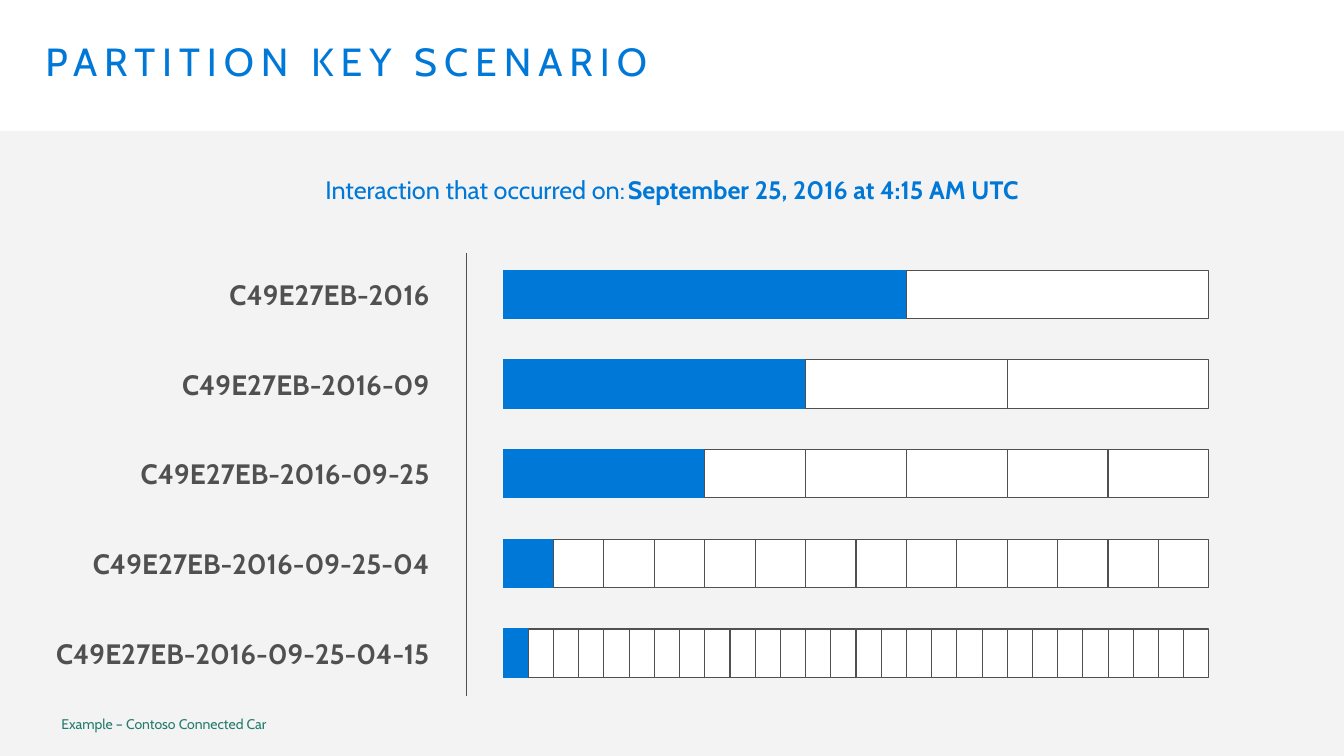
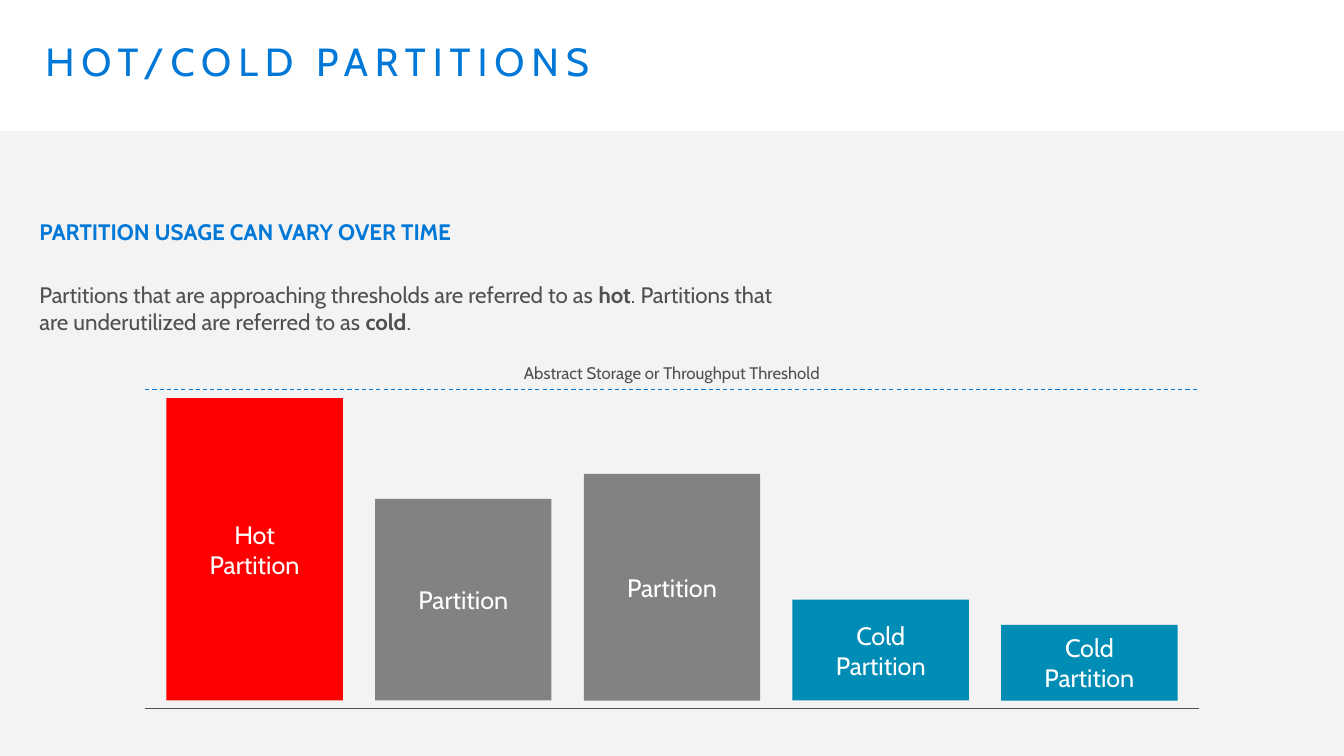
from lxml.etree import SubElement
from pptx import Presentation
from pptx.dml.color import RGBColor
from pptx.enum.dml import MSO_LINE
from pptx.enum.shapes import MSO_CONNECTOR, MSO_SHAPE
from pptx.enum.text import MSO_ANCHOR, MSO_AUTO_SIZE, PP_ALIGN
from pptx.oxml.ns import qn
from pptx.util import Inches, Pt

BLUE = RGBColor(0x00, 0x78, 0xD7)
GRAY = RGBColor(0x50, 0x50, 0x50)
MID = RGBColor(0x82, 0x82, 0x82)
PALE = RGBColor(0xF2, 0xF2, 0xF2)
WHITE = RGBColor(0xFF, 0xFF, 0xFF)
RED = RGBColor(0xFF, 0x00, 0x00)
TEAL = RGBColor(0x00, 0x8D, 0xB5)
GREEN = RGBColor(0x22, 0x7B, 0x6D)


def apply(item, values):
    for name, value in values.items():
        setattr(item, name, value)


class Deck:
    FONT = "Cabin"
    WIDTH = 13.33

    def __init__(self):
        self.prs = Presentation()
        self.prs.slide_width = Inches(self.WIDTH)
        self.prs.slide_height = Inches(7.5)
        self.layout = self.prs.slide_layouts[1]
        self.slide = None

    def start(self, title):
        """Open a slide with its title; the first one gives the layout its band."""
        first = self.slide is None
        self.slide = self.prs.slides.add_slide(self.layout)
        if first:
            self.band()
        shape = self.slide.shapes.title
        self.place(shape, 0.29, 0.32, 12.75, 0.98)
        self.frame(shape, MSO_ANCHOR.TOP, 0.16, 0.1)
        para = shape.text_frame.paragraphs[0]
        apply(para, {"alignment": PP_ALIGN.LEFT, "line_spacing": 0.9})
        run = self.run(para, title, 28, BLUE)
        run.font._element.set("spc", "500")

    def band(self):
        band = self.rect(0, 1.3, self.WIDTH, 6.2, PALE)
        color = band.fill._xPr.find(".//" + qn("a:srgbClr"))
        SubElement(color, qn("a:alpha"), val="89000")
        self.layout.shapes.element.insert(2, band.element)

    def place(self, shape, left, top, width, height):
        apply(shape, {"left": Inches(left), "top": Inches(top),
                      "width": Inches(width), "height": Inches(height)})

    def frame(self, shape, anchor, side, edge):
        apply(shape.text_frame, {
            "word_wrap": True, "auto_size": MSO_AUTO_SIZE.NONE,
            "vertical_anchor": anchor,
            "margin_left": Inches(side), "margin_right": Inches(side),
            "margin_top": Inches(edge), "margin_bottom": Inches(edge)})

    def run(self, para, text, size, color, bold=False):
        run = para.add_run()
        run.text = text
        apply(run.font, {"name": self.FONT, "size": Pt(size), "bold": bold})
        run.font.color.rgb = color
        return run

    def body(self, box, size, paras, align=PP_ALIGN.LEFT, gap=0, tab=None):
        """Fill the body; each paragraph is a list of (text, color, bold)."""
        shape = self.slide.placeholders[1]
        self.place(shape, *box)
        self.frame(shape, MSO_ANCHOR.TOP, 0.1, 0.05)
        text = shape.text_frame
        for index, runs in enumerate(paras):
            para = text.add_paragraph() if index else text.paragraphs[0]
            props = para._p.get_or_add_pPr()
            apply_xml = {"marL": "0", "indent": "0"}
            for name, value in apply_xml.items():
                props.set(name, value)
            SubElement(props, qn("a:buNone"))
            if tab:
                stops = SubElement(props, qn("a:tabLst"))
                SubElement(stops, qn("a:tab"), pos=str(Inches(tab)), algn="l")
            apply(para, {"alignment": align, "line_spacing": 1.0,
                         "space_before": Pt(gap if index else 0)})
            for words, color, bold in runs:
                self.run(para, words, size, color, bold)

    def rect(self, left, top, width, height, fill, edge=None):
        shape = self.slide.shapes.add_shape(
            MSO_SHAPE.RECTANGLE, Inches(left), Inches(top),
            Inches(width), Inches(height))
        shape.shadow.inherit = False
        shape.fill.solid()
        shape.fill.fore_color.rgb = fill
        if edge is None:
            shape.line.fill.background()
        else:
            shape.line.color.rgb = edge
            shape.line.width = Pt(0.75)
        return shape

    def block(self, left, top, width, height, fill, text):
        shape = self.rect(left, top, width, height, fill)
        self.frame(shape, MSO_ANCHOR.MIDDLE, 0.25, 0.1)
        para = shape.text_frame.paragraphs[0]
        para.alignment = PP_ALIGN.CENTER
        self.run(para, text, 18, WHITE)

    def label(self, box, text, size, color, align=PP_ALIGN.LEFT, bold=False):
        shape = self.slide.shapes.add_textbox(*map(Inches, box))
        self.frame(shape, MSO_ANCHOR.MIDDLE, 0, 0)
        para = shape.text_frame.paragraphs[0]
        para.alignment = align
        self.run(para, text, size, color, bold)

    def rule(self, x1, y1, x2, y2, color, dash=None):
        line = self.slide.shapes.add_connector(
            MSO_CONNECTOR.STRAIGHT, *map(Inches, (x1, y1, x2, y2)))
        line.line.color.rgb = color
        line.line.width = Pt(0.75)
        if dash:
            line.line.dash_style = dash
        SubElement(line._element.spPr, qn("a:effectLst"))


def keys(deck):
    deck.start("PARTITION KEY SCENARIO")
    deck.body((0.29, 1.68, 12.75, 0.4), 18, [[
        ("Interaction that occurred on:\t", BLUE, False),
        ("September 25, 2016 at 4:15 AM UTC", BLUE, True)]],
        align=PP_ALIGN.CENTER, tab=3)
    deck.rule(4.63, 2.51, 4.63, 6.9, GRAY)

    # Key, width of its filled part, number of cells in the rest
    rows = [("C49E27EB-2016", 4, 1),
            ("C49E27EB-2016-09", 3, 2),
            ("C49E27EB-2016-09-25", 2, 5),
            ("C49E27EB-2016-09-25-04", 0.5, 13),
            ("C49E27EB-2016-09-25-04-15", 0.25, 27)]
    left, full, high = 4.99, 7, 0.48
    for index, (key, used, count) in enumerate(rows):
        top = 2.68 + 0.89 * index
        deck.label((0.26, top + 0.07, 4, 0.34), key, 20, GRAY,
                   PP_ALIGN.RIGHT, True)
        deck.rect(left, top, used, high, BLUE, BLUE)
        cell = (full - used) / count
        for step in range(count):
            deck.rect(left + used + step * cell, top, cell, high, WHITE, GRAY)

    deck.label((0.61, 7.1, 2.2, 0.16), "Example – Contoso Connected Car",
               10, GREEN)


def usage(deck):
    deck.start("HOT/COLD PARTITIONS")
    deck.body((0.29, 2.11, 7.69, 1.29), 16, [
        [("PARTITION USAGE CAN VARY OVER TIME", BLUE, True)],
        [("Partitions that are approaching thresholds are referred to as ",
          GRAY, False),
         ("hot", GRAY, True),
         (". Partitions that are underutilized are referred to as ",
          GRAY, False),
         ("cold", GRAY, True),
         (".", GRAY, False)]], gap=26)

    # Base line and threshold
    deck.rule(1.44, 7.03, 11.89, 7.03, GRAY)
    deck.rule(1.44, 3.86, 11.89, 3.86, BLUE, MSO_LINE.DASH)
    deck.label((4.59, 3.61, 4.15, 0.18),
               "Abstract Storage or Throughput Threshold", 12, GRAY,
               PP_ALIGN.CENTER)

    # Partitions stand on one base at equal steps
    base = 6.95
    parts = [("Hot Partition", 3, RED), ("Partition", 2, MID),
             ("Partition", 2.25, MID), ("Cold Partition", 1, TEAL),
             ("Cold Partition", 0.75, TEAL)]
    for index, (name, high, fill) in enumerate(parts):
        deck.block(1.65 + 2.07 * index, base - high, 1.75, high, fill, name)


def main():
    deck = Deck()
    keys(deck)
    usage(deck)
    deck.prs.save("out.pptx")


if __name__ == "__main__":
    main()
